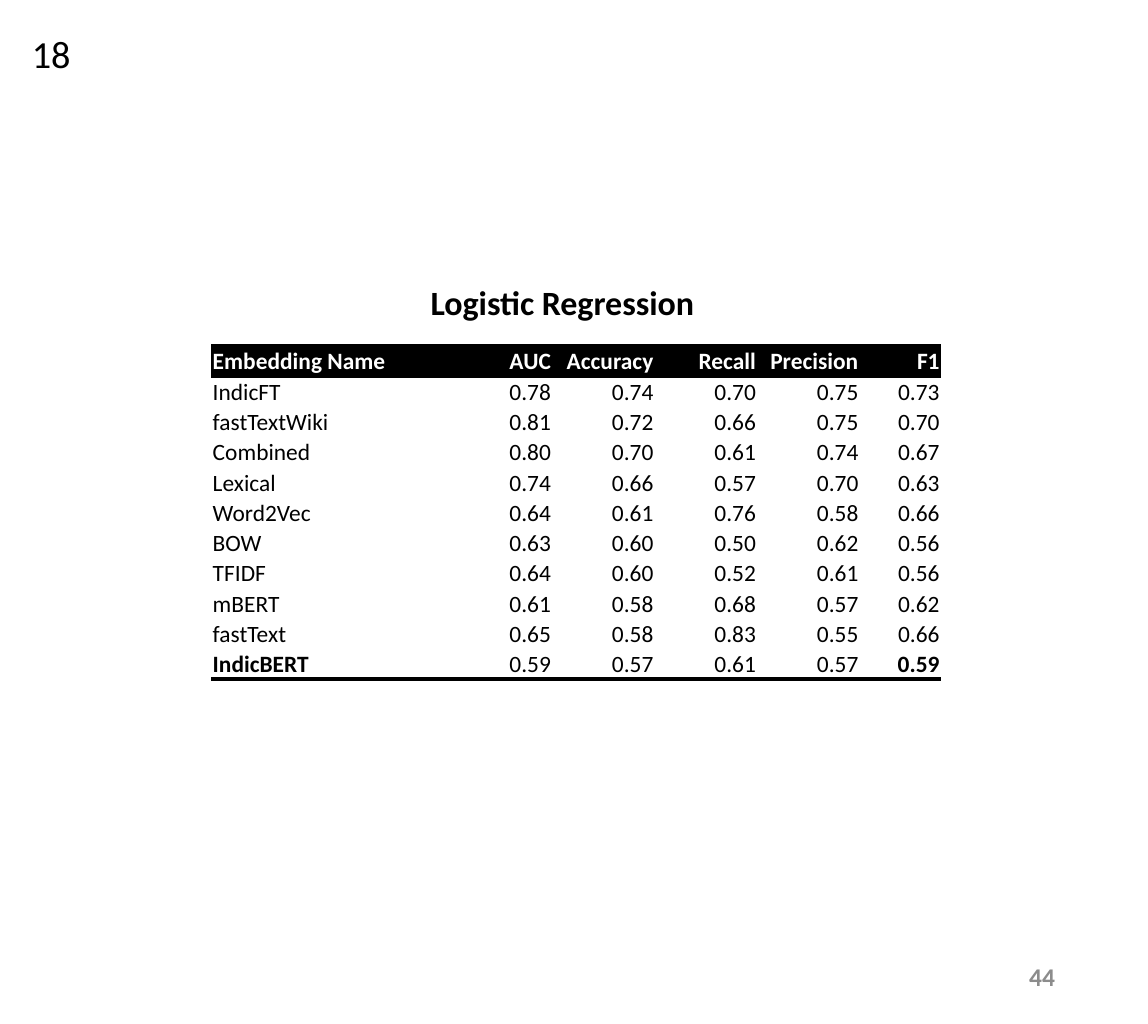
from lxml import etree
from pptx import Presentation
from pptx.dml.color import RGBColor
from pptx.enum.text import MSO_ANCHOR, PP_ALIGN
from pptx.oxml import parse_xml
from pptx.oxml.ns import nsdecls
from pptx.util import Inches, Pt

BLACK = RGBColor(0x00, 0x00, 0x00)
WHITE = RGBColor(0xFF, 0xFF, 0xFF)
GRAY = RGBColor(0x8C, 0x8C, 0x8C)
NO_STYLE_NO_GRID = "{2D5ABB26-0587-4C30-8999-92F81FD0307C}"

HEADER = ["Embedding Name", "AUC", "Accuracy", "Recall", "Precision", "F1"]
SCORES = [
    ["IndicFT", 0.78, 0.74, 0.70, 0.75, 0.73],
    ["fastTextWiki", 0.81, 0.72, 0.66, 0.75, 0.70],
    ["Combined", 0.80, 0.70, 0.61, 0.74, 0.67],
    ["Lexical", 0.74, 0.66, 0.57, 0.70, 0.63],
    ["Word2Vec", 0.64, 0.61, 0.76, 0.58, 0.66],
    ["BOW", 0.63, 0.60, 0.50, 0.62, 0.56],
    ["TFIDF", 0.64, 0.60, 0.52, 0.61, 0.56],
    ["mBERT", 0.61, 0.58, 0.68, 0.57, 0.62],
    ["fastText", 0.65, 0.58, 0.83, 0.55, 0.66],
    ["IndicBERT", 0.59, 0.57, 0.61, 0.57, 0.59],
]
COLUMN_WIDTHS = [1.56, 0.67, 0.67, 0.67, 0.67, 0.53]


def write(frame, text, size, color, bold, align):
    """Put one formatted paragraph into a text frame."""
    para = frame.paragraphs[0]
    para.text = text
    para.alignment = align
    font = para.runs[0].font
    font.name, font.size, font.bold = "Calibri", Pt(size), bold
    font.color.rgb = color


def add_border(cell, side):
    """Draw a 2 pt black line on the top ("T") or bottom ("B") of a cell."""
    line = parse_xml(f'<a:ln{side} {nsdecls("a")} w="{Pt(2)}"/>')
    fill = etree.SubElement(line, line.tag.replace(f"ln{side}", "solidFill"))
    etree.SubElement(fill, fill.tag.replace("solidFill", "srgbClr"), val=str(BLACK))
    cell._tc.get_or_add_tcPr().append(line)


deck = Presentation()
deck.slide_width, deck.slide_height = Inches(7.5), Inches(6.69)
page = deck.slides.add_slide(deck.slide_layouts[6])

LABELS = [
    # text, left, top, width, height, size, colour, bold, alignment, anchor, wrap
    ("Logistic Regression", 1.62, 1.79, 4.11, 0.37, 16, BLACK, True,
     PP_ALIGN.CENTER, MSO_ANCHOR.TOP, True),
    ("44", 5.3, 6.2, 1.69, 0.36, 12, GRAY, True,
     PP_ALIGN.RIGHT, MSO_ANCHOR.MIDDLE, True),
    ("18", 0.11, 0.15, 0.46, 0.4, 18, BLACK, False,
     PP_ALIGN.LEFT, MSO_ANCHOR.TOP, False),
]
for text, left, top, width, height, size, color, bold, align, anchor, wrap in LABELS:
    box = page.shapes.add_textbox(Inches(left), Inches(top), Inches(width), Inches(height))
    box.text_frame.word_wrap = wrap
    box.text_frame.vertical_anchor = anchor
    write(box.text_frame, text, size, color, bold, align)

rows = [HEADER] + SCORES
last_row, last_column = len(rows) - 1, len(HEADER) - 1
table_frame = page.shapes.add_table(len(rows), len(HEADER), Inches(1.38), Inches(2.26),
                                    Inches(4.75), Inches(2.18))
table_frame.element.xpath(".//a:tableStyleId")[0].text = NO_STYLE_NO_GRID
table = table_frame.table
table.first_row = table.horz_banding = False
for column, width in zip(table.columns, COLUMN_WIDTHS):
    column.width = Inches(width)

for r, row in enumerate(rows):
    is_header = r == 0
    for c, value in enumerate(row):
        cell = table.cell(r, c)
        cell.margin_left = cell.margin_right = cell.margin_top = Inches(0.01)
        cell.margin_bottom = 0
        cell.vertical_anchor = MSO_ANCHOR.BOTTOM
        if is_header:
            add_border(cell, "T")
        if r in (0, last_row):
            add_border(cell, "B")
        cell.fill.solid()
        cell.fill.fore_color.rgb = BLACK if is_header else WHITE
        write(cell.text_frame,
              value if isinstance(value, str) else f"{value:.2f}",
              11,
              WHITE if is_header else BLACK,
              is_header or (r == last_row and c in (0, last_column)),
              PP_ALIGN.LEFT if c == 0 else PP_ALIGN.RIGHT)

deck.save("out.pptx")
